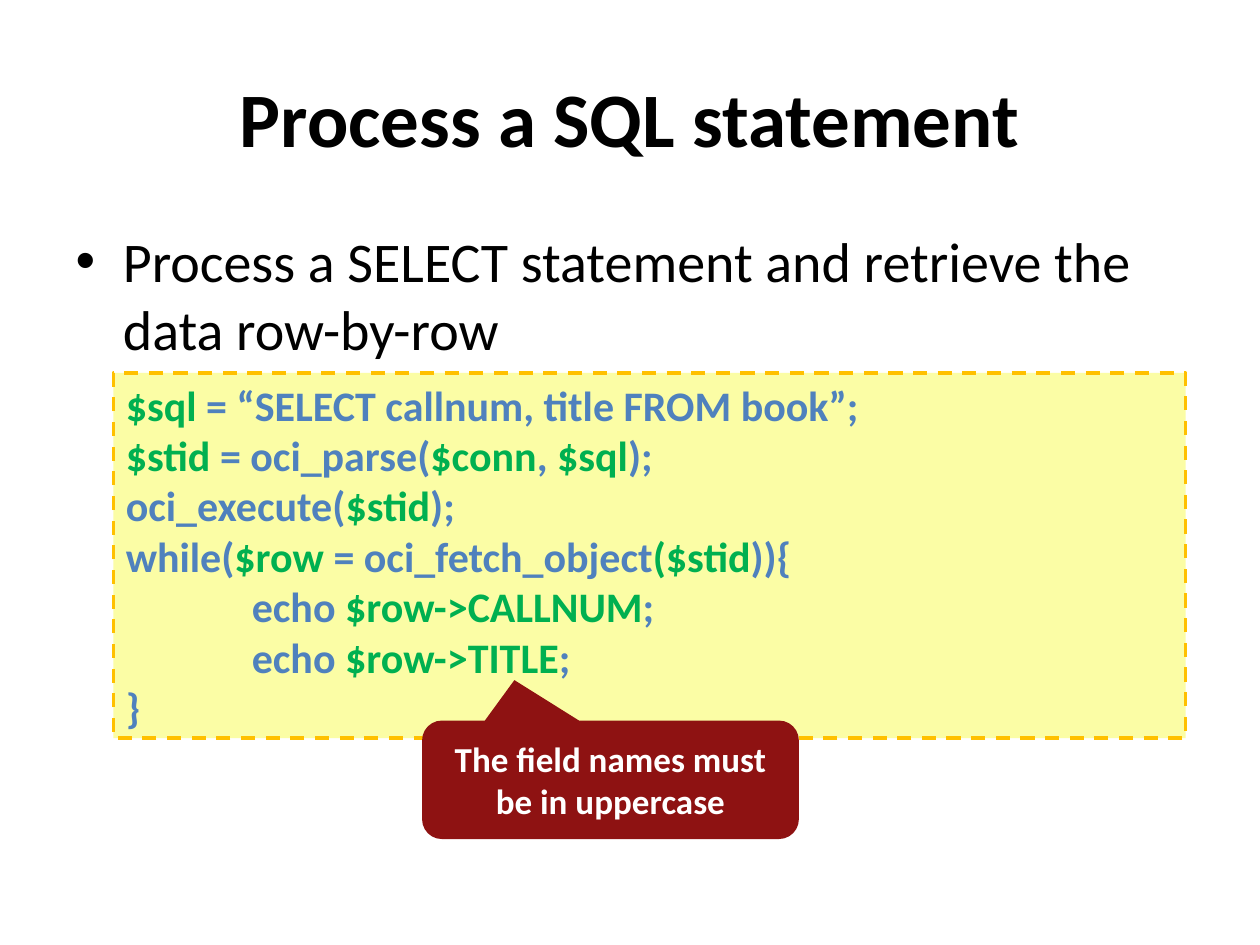
from dataclasses import dataclass

from pptx import Presentation
from pptx.dml.color import RGBColor
from pptx.enum.dml import MSO_LINE
from pptx.enum.shapes import MSO_SHAPE
from pptx.enum.text import MSO_ANCHOR, PP_ALIGN
from pptx.util import Pt

COLORS = {
    "text": "000000",
    "code": "4F81BD",
    "variable": "00B050",
    "code_fill": "FBFDA5",
    "code_border": "FFC000",
    "callout": "8E1212",
    "callout_text": "FFFFFF",
}
FONT = "Calibri"
INDENT = 72


@dataclass(frozen=True)
class Box:
    left: float
    top: float
    width: float
    height: float

    def lengths(self) -> tuple:
        return Pt(self.left), Pt(self.top), Pt(self.width), Pt(self.height)


@dataclass(frozen=True)
class CodeLine:
    """Segments alternate between plain code and variables."""
    segments: tuple
    level: int = 0


CODE = (
    CodeLine(("", "$sql ", "= “SELECT callnum, title FROM book”;")),
    CodeLine(("", "$stid ", "= oci_parse(", "$conn", ", ", "$sql", ");")),
    CodeLine(("oci_execute(", "$stid", ");")),
    CodeLine(("while(", "$row ", "= oci_fetch_object", "($stid", ")){")),
    CodeLine(("echo ", "$row->CALLNUM", ";"), level=1),
    CodeLine(("echo ", "$row->TITLE", ";"), level=1),
    CodeLine(("}",)),
)


def color(name: str) -> RGBColor:
    return RGBColor.from_string(COLORS[name])


def set_font(paragraph, size: float, bold: bool, color_name: str) -> None:
    font = paragraph.font
    font.name, font.size, font.bold = FONT, Pt(size), bold
    font.color.rgb = color(color_name)


def fill_placeholder(placeholder, box: Box, text: str, size: float, bold: bool):
    placeholder.left, placeholder.top, placeholder.width, placeholder.height = box.lengths()
    placeholder.text_frame.text = text
    paragraph = placeholder.text_frame.paragraphs[0]
    set_font(paragraph, size, bold, "text")
    return paragraph


def add_panel(slide, kind: MSO_SHAPE, box: Box, fill: str, anchor: MSO_ANCHOR):
    shape = slide.shapes.add_shape(kind, *box.lengths())
    shape.shadow.inherit = False
    shape.fill.solid()
    shape.fill.fore_color.rgb = color(fill)
    shape.line.fill.background()
    shape.text_frame.word_wrap = True
    shape.text_frame.vertical_anchor = anchor
    return shape


def write_code(text_frame, lines: tuple) -> None:
    for number, line in enumerate(lines):
        paragraph = text_frame.add_paragraph() if number else text_frame.paragraphs[0]
        paragraph.alignment = PP_ALIGN.LEFT
        set_font(paragraph, 24, True, "code")
        properties = paragraph._p.get_or_add_pPr()
        properties.set("marL", str(Pt(INDENT * line.level)))
        properties.set("indent", "0")
        for position, segment in enumerate(line.segments):
            if segment:
                run = paragraph.add_run()
                run.text = segment
                run.font.color.rgb = color("variable" if position % 2 else "code")


presentation = Presentation()
presentation.slide_width, presentation.slide_height = Pt(720), Pt(540)
slide = presentation.slides.add_slide(presentation.slide_layouts[1])

# Title and bullet
title = fill_placeholder(slide.shapes.title, Box(36, 21.6, 648, 90),
                         "Process a SQL statement", 44, True)
title.alignment = PP_ALIGN.CENTER
bullet = fill_placeholder(slide.placeholders[1], Box(36, 126, 648, 356.4),
                          "Process a SELECT statement and retrieve the data row-by-row",
                          32, False)
bullet.space_before = Pt(8)

# Code panel
code_panel = add_panel(slide, MSO_SHAPE.RECTANGLE, Box(64.8, 213.1, 612.7, 208.8),
                       "code_fill", MSO_ANCHOR.TOP)
code_panel.line.color.rgb = color("code_border")
code_panel.line.width = Pt(2)
code_panel.line.dash_style = MSO_LINE.DASH
write_code(code_panel.text_frame, CODE)

# Callout
callout = add_panel(slide, MSO_SHAPE.ROUNDED_RECTANGULAR_CALLOUT,
                    Box(241.2, 411.8, 215.3, 67.7), "callout", MSO_ANCHOR.MIDDLE)
for index, adjustment in enumerate((-0.255, -0.842, 0.167)):
    callout.adjustments[index] = adjustment
callout.text_frame.text = "The field names must be in uppercase"
message = callout.text_frame.paragraphs[0]
message.alignment = PP_ALIGN.CENTER
set_font(message, 20, True, "callout_text")

presentation.save("out.pptx")
